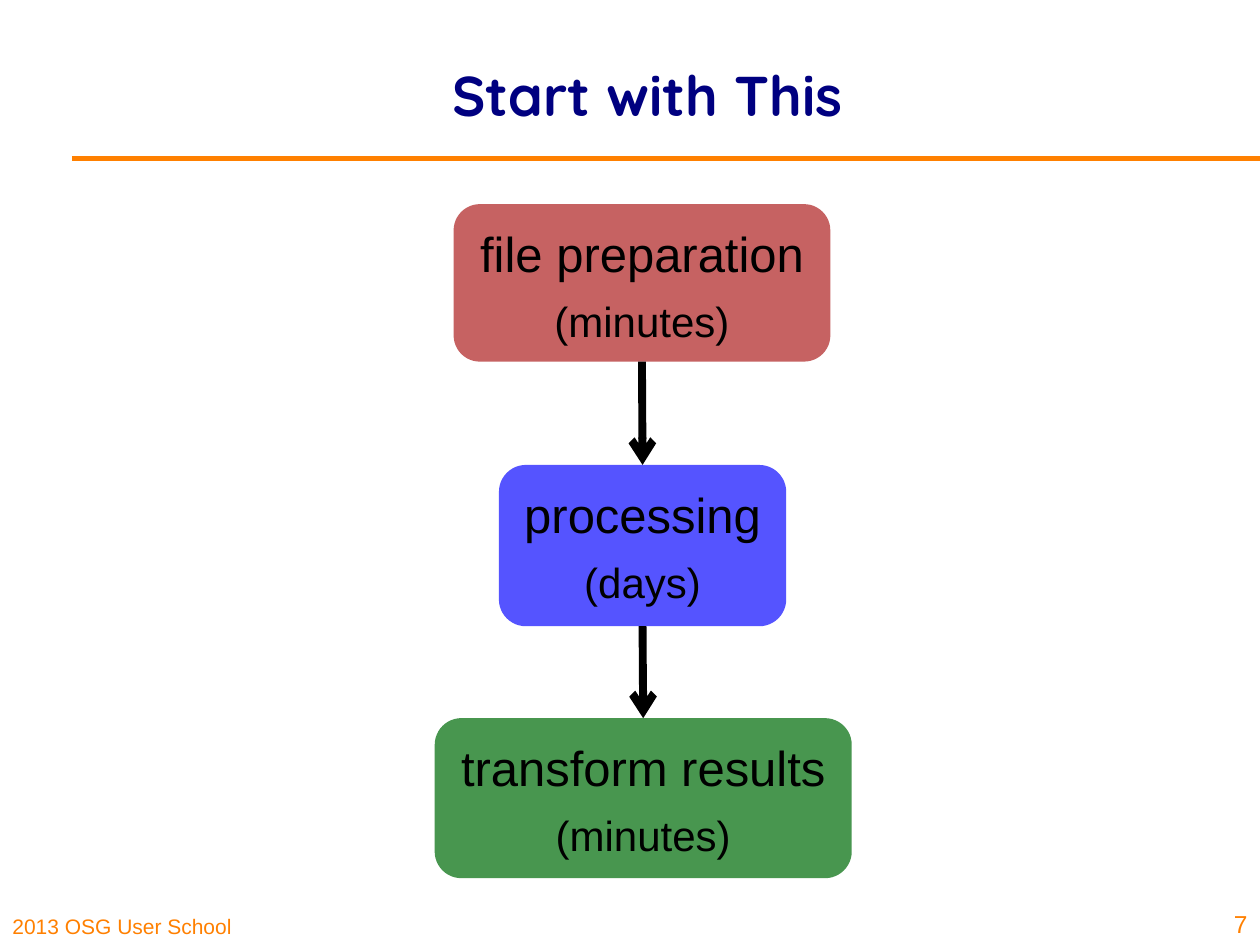
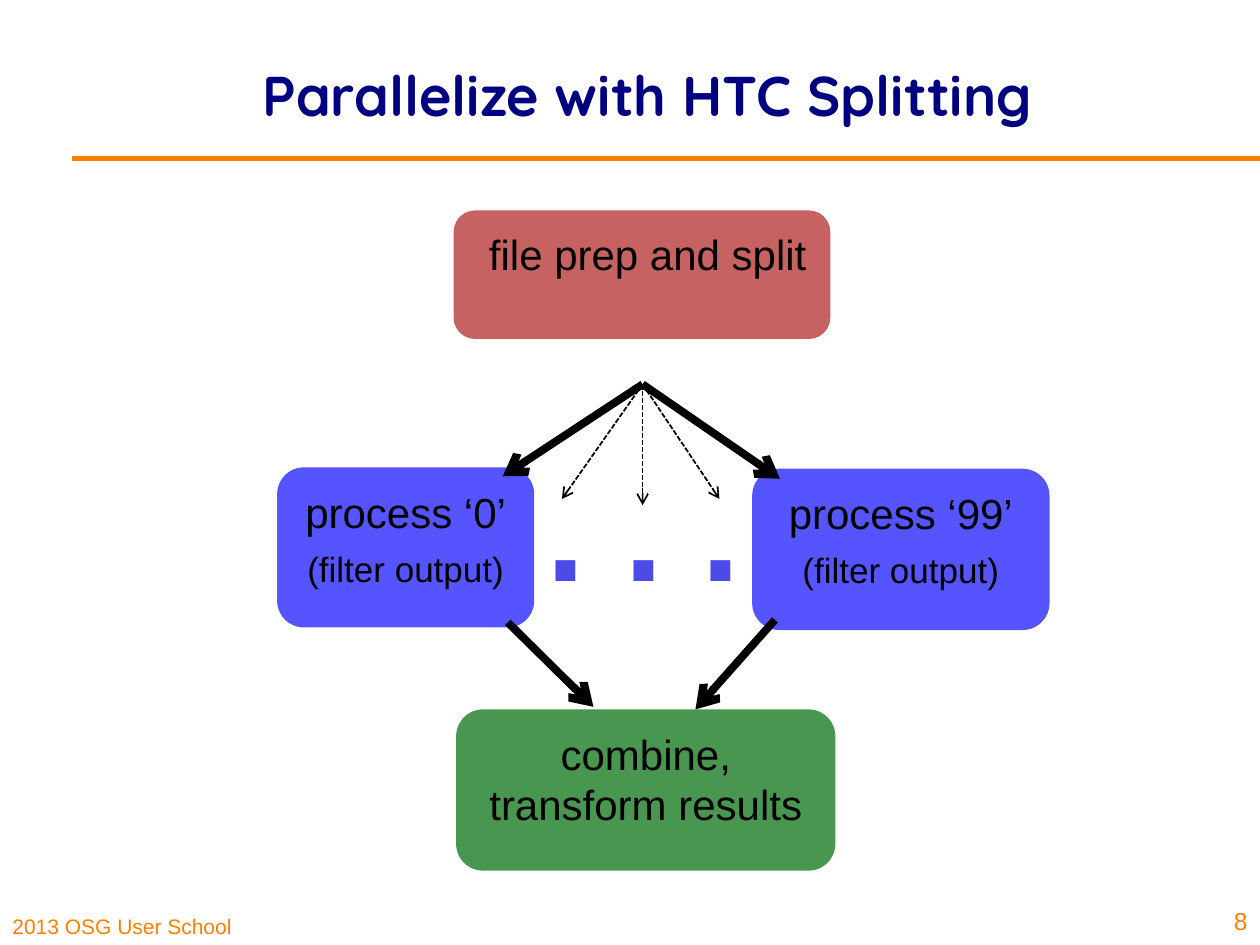
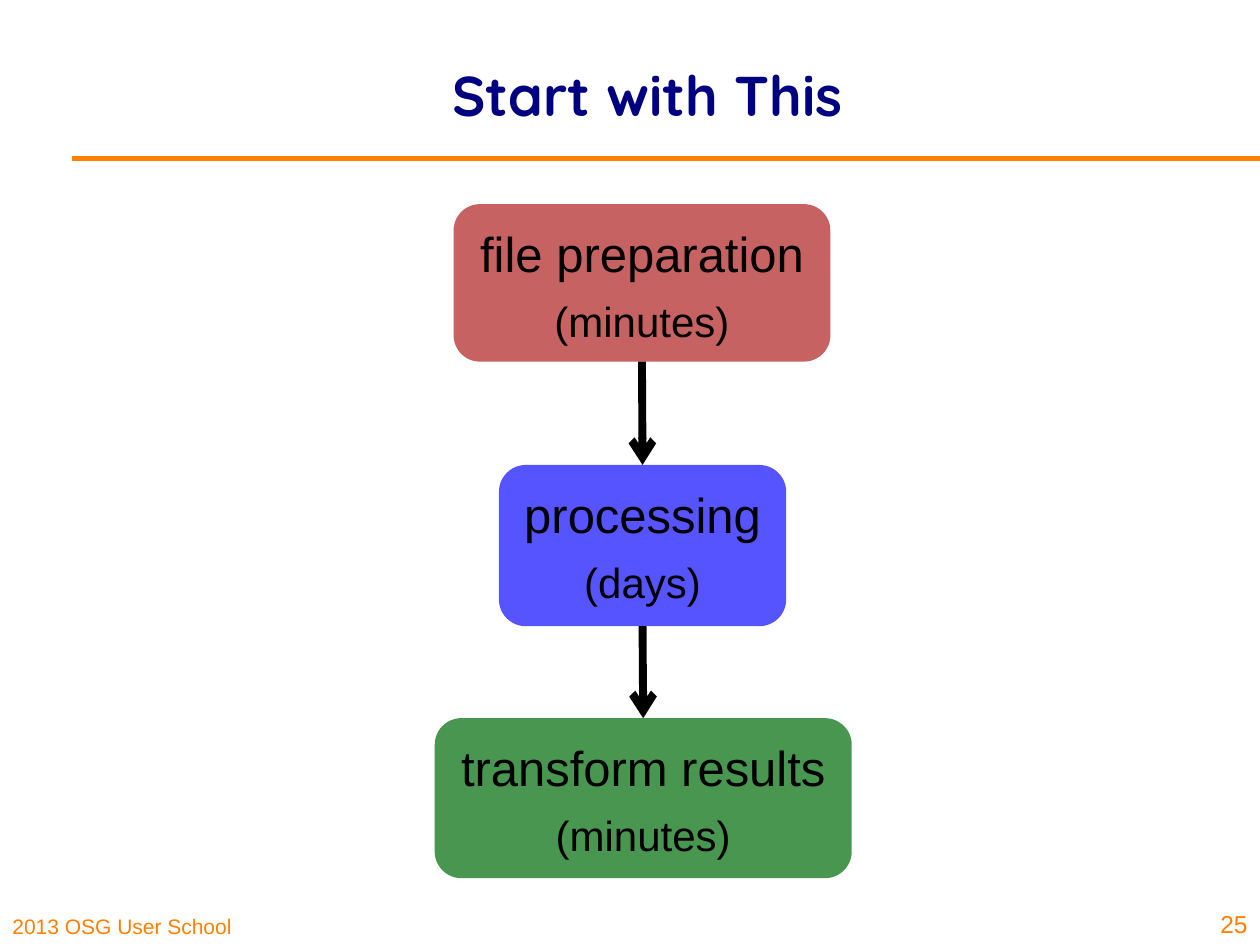
from dataclasses import dataclass
from typing import Optional

import lxml.etree
import pptx
import pptx.dml.color
import pptx.enum.dml
import pptx.enum.shapes
import pptx.enum.text
import pptx.oxml.ns
import pptx.util
from pptx.util import Inches

# Shared style
NAVY, ORANGE, BLACK = "000080", "FF8000", "000000"
RED, BLUE, GREEN, DOT_BLUE = "C66262", "5554FF", "48964F", "4C4BE7"
BODY_FONT, TITLE_FONT = "Arial", "Quicksand"
ALIGN = pptx.enum.text.PP_ALIGN
ANCHOR = pptx.enum.text.MSO_ANCHOR
BOTTOM, TOP = 2, 0


@dataclass(frozen=True)
class Line:
    text: str
    size: float
    color: str = BLACK
    bold: bool = False
    font: str = BODY_FONT
    space_before: float = 0


@dataclass(frozen=True)
class Step:
    """A rounded box of the workflow; lengths in inches."""
    left: float
    top: float
    width: float
    height: float
    fill: Optional[str]
    lines: tuple[Line, ...]
    top_inset: float = 0.09
    left_inset: float = 0.1


@dataclass(frozen=True)
class Arrow:
    start: tuple[float, float]
    end: tuple[float, float]
    width: float = 4.5
    dashed: bool = False


def rgb(value: str) -> pptx.dml.color.RGBColor:
    return pptx.dml.color.RGBColor.from_string(value)


def write(frame, lines: tuple[Line, ...], align, anchor) -> None:
    frame.word_wrap = True
    frame.vertical_anchor = anchor
    for index, line in enumerate(lines):
        paragraph = frame.paragraphs[0] if index == 0 else frame.add_paragraph()
        paragraph.alignment = align
        if line.space_before:
            paragraph.space_before = pptx.util.Pt(line.space_before)
        run = paragraph.add_run()
        run.text = line.text
        run.font.name = line.font
        run.font.size = pptx.util.Pt(line.size)
        run.font.bold = line.bold
        run.font.color.rgb = rgb(line.color)


def add_label(slide, left: float, top: float, width: float, height: float,
              line: Line, align, anchor=ANCHOR.BOTTOM) -> None:
    label = slide.shapes.add_textbox(Inches(left), Inches(top), Inches(width), Inches(height))
    write(label.text_frame, (line,), align, anchor)


def add_line(slide, start: tuple[float, float], end: tuple[float, float],
             color: str, width: float):
    line = slide.shapes.add_connector(
        pptx.enum.shapes.MSO_CONNECTOR.STRAIGHT,
        *(Inches(value) for value in (*start, *end)))
    line.line.color.rgb = rgb(color)
    line.line.width = pptx.util.Pt(width)
    lxml.etree.SubElement(line._element.spPr, pptx.oxml.ns.qn("a:effectLst"))
    return line


def add_arrow(slide, arrow: Arrow):
    line = add_line(slide, arrow.start, arrow.end, BLACK, arrow.width)
    if arrow.dashed:
        line.line.dash_style = pptx.enum.dml.MSO_LINE.SQUARE_DOT
    lxml.etree.SubElement(line.line._get_or_add_ln(),
                          pptx.oxml.ns.qn("a:tailEnd"), type="arrow")
    return line


def add_step(slide, step: Step):
    box = slide.shapes.add_shape(
        pptx.enum.shapes.MSO_SHAPE.ROUNDED_RECTANGLE,
        Inches(step.left), Inches(step.top), Inches(step.width), Inches(step.height))
    box.shadow.inherit = False
    box.line.fill.background()
    if step.fill:
        box.fill.solid()
        box.fill.fore_color.rgb = rgb(step.fill)
    else:
        box.fill.background()
    frame = box.text_frame
    frame.margin_top = Inches(step.top_inset)
    frame.margin_left = Inches(step.left_inset)
    write(frame, step.lines, ALIGN.CENTER, ANCHOR.TOP)
    return box


def new_slide(deck, title: str, number: int, number_top: float = 7.0):
    slide = deck.slides.add_slide(deck.slide_layouts[6])
    add_label(slide, 0, 7.08, 2.48, 0.42,
              Line("2013 OSG User School", 12, ORANGE), ALIGN.LEFT)
    add_line(slide, (0.57, 1.26), (10, 1.26), ORANGE, 3)
    add_label(slide, 1.34, 0.12, 7.6, 1.25,
              Line(title, 32, NAVY, True, TITLE_FONT), ALIGN.CENTER, ANCHOR.MIDDLE)
    add_label(slide, 9.54, number_top, 0.46, 0.5,
              Line(str(number), 14, ORANGE), ALIGN.RIGHT)
    return slide


def stage(name: str, duration: str) -> tuple[Line, ...]:
    return Line(name, 28), Line(duration, 24, space_before=7.5)


def process(name: str) -> tuple[Line, ...]:
    return Line(name, 24), Line("(filter output)", 20, space_before=6)


# Serial workflow: three stages, one below the other
SERIAL_STEPS = (
    Step(3.6, 1.62, 2.99, 1.25, RED, stage("file preparation", "(minutes)")),
    Step(3.96, 3.69, 2.28, 1.28, BLUE, stage("processing", "(days)")),
    Step(3.45, 5.7, 3.31, 1.27, GREEN, stage("transform results", "(minutes)")),
)

# Parallel workflow: split, many processes, combine
PARALLEL_STEPS = (
    Step(5.97, 3.72, 2.36, 1.28, BLUE, process("process ‘99’")),
    Step(3.6, 1.67, 2.99, 1.02, RED, (Line("file prep and split", 24),), left_inset=0.19),
    Step(2.2, 3.71, 2.04, 1.27, BLUE, process("process ‘0’")),
    Step(3.62, 5.63, 3.01, 1.28, GREEN, (Line("combine, transform results", 24),)),
    Step(4.17, 3.29, 1.88, 1.28, None, (Line(". . .", 80, DOT_BLUE, True),), 0.15),
)
SPLIT_POINT = (5.1, 3.05)
PARALLEL_ARROWS = (
    *(Arrow(SPLIT_POINT, end) for end in ((6.19, 3.8), (3.99, 3.78))),
    Arrow((4.03, 4.94), (4.71, 5.61)),
    Arrow((6.15, 4.92), (5.52, 5.63)),
    *(Arrow(SPLIT_POINT, end, 1, True) for end in ((4.46, 3.96), (5.71, 3.96), (5.1, 4.01))),
)


def add_serial_slide(deck, number: int) -> None:
    slide = new_slide(deck, "Start with This", number)
    boxes = [add_step(slide, step) for step in SERIAL_STEPS]
    for upper, lower in zip(boxes, boxes[1:]):
        arrow = add_arrow(slide, Arrow((0, 0), (1, 1)))
        arrow.begin_connect(upper, BOTTOM)
        arrow.end_connect(lower, TOP)


def add_parallel_slide(deck, number: int) -> None:
    slide = new_slide(deck, "Parallelize with HTC Splitting", number, 6.97)
    for step in PARALLEL_STEPS:
        add_step(slide, step)
    for arrow in PARALLEL_ARROWS:
        add_arrow(slide, arrow)


def main() -> None:
    deck = pptx.Presentation()
    deck.slide_width, deck.slide_height = Inches(10), Inches(7.5)
    add_serial_slide(deck, 7)
    add_parallel_slide(deck, 8)
    add_serial_slide(deck, 25)
    deck.save("out.pptx")


if __name__ == "__main__":
    main()
